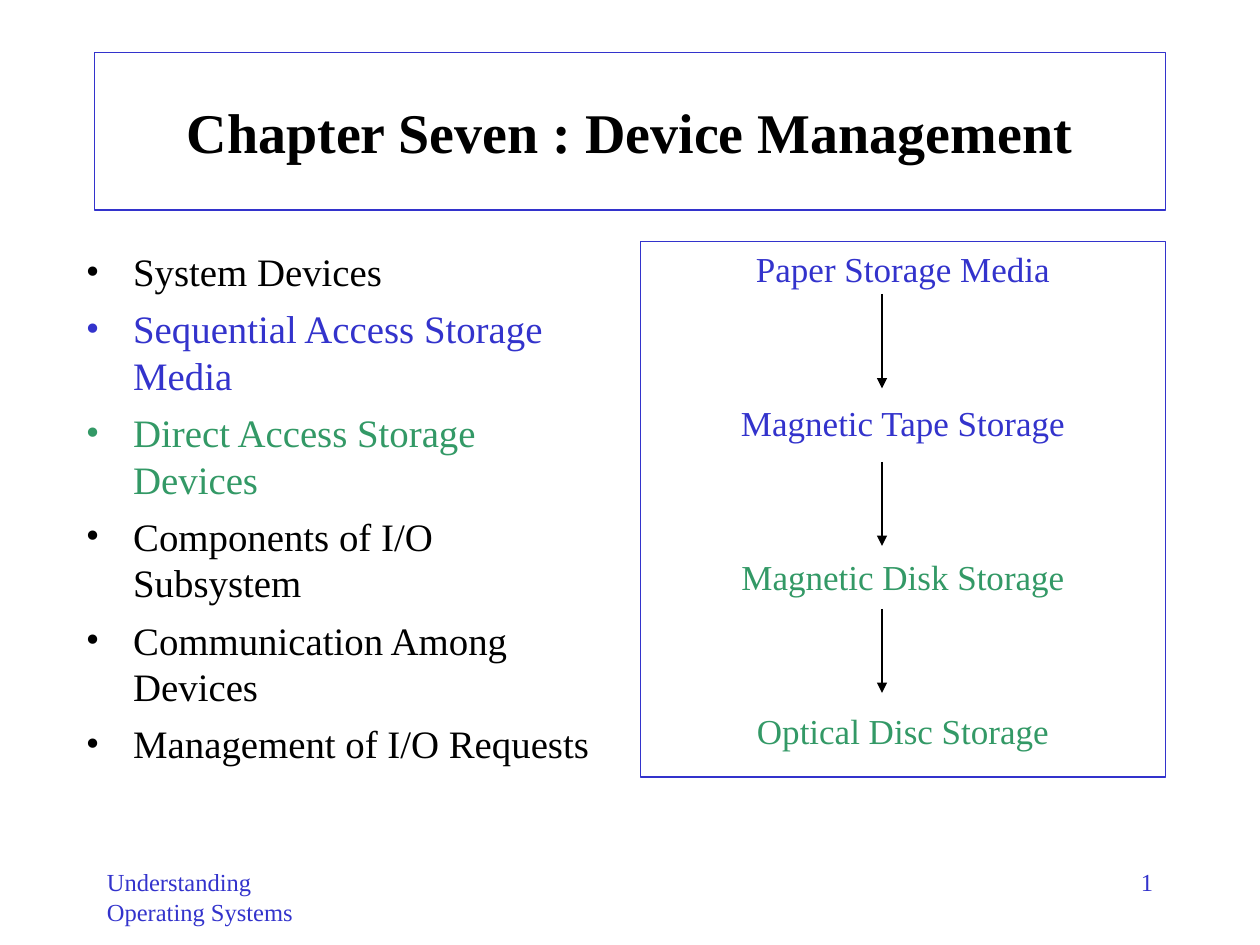
from lxml.etree import SubElement
from pptx import Presentation
from pptx.dml.color import RGBColor
from pptx.enum.shapes import MSO_CONNECTOR as Connector, MSO_SHAPE as Shape
from pptx.enum.text import MSO_ANCHOR as Anchor, PP_ALIGN as Align
from pptx.oxml.ns import qn
from pptx.util import Pt

BLACK, BLUE, GREEN = "000000", "3333CC", "339966"


def color(value):
    return RGBColor.from_string(value)


def add_bullet(paragraph, tint, indent):
    props = paragraph._p.get_or_add_pPr()
    props.set("marL", str(Pt(indent)))
    props.set("indent", str(-Pt(indent)))
    SubElement(SubElement(props, qn("a:buClr")), qn("a:srgbClr"), val=tint)
    SubElement(props, qn("a:buFont"), typeface="Times New Roman")
    SubElement(props, qn("a:buChar"), char="•")


def write(frame, entries, size, bold=False, align=Align.LEFT,
          anchor=Anchor.TOP, gap=0, bullet_indent=0):
    frame.word_wrap = True
    frame.vertical_anchor = anchor
    for number, (text, tint) in enumerate(entries):
        paragraph = frame.add_paragraph() if number else frame.paragraphs[0]
        paragraph.alignment = align
        paragraph.space_before = Pt(gap if number else 0)
        if bullet_indent:
            add_bullet(paragraph, tint, bullet_indent)
        run = paragraph.add_run()
        run.text = text
        run.font.name = "Times New Roman"
        run.font.size = Pt(size)
        run.font.bold = bold
        run.font.color.rgb = color(tint)


class SlideBuilder:
    line_width = 0.75

    def __init__(self, slide):
        self.shapes = slide.shapes

    def text(self, left, top, width, height, entries, **style):
        box = self.shapes.add_textbox(Pt(left), Pt(top), Pt(width), Pt(height))
        write(box.text_frame, entries, **style)

    def panel(self, left, top, width, height, entries, **style):
        box = self.shapes.add_shape(
            Shape.RECTANGLE, Pt(left), Pt(top), Pt(width), Pt(height))
        box.shadow.inherit = False
        box.fill.background()
        box.line.color.rgb = color(BLUE)
        box.line.width = Pt(self.line_width)
        write(box.text_frame, entries, align=Align.CENTER, **style)

    def down_arrow(self, x, top, bottom):
        arrow = self.shapes.add_connector(
            Connector.STRAIGHT, Pt(x), Pt(top), Pt(x), Pt(bottom))
        arrow.line.color.rgb = color(BLACK)
        arrow.line.width = Pt(self.line_width)
        SubElement(arrow.line._get_or_add_ln(), qn("a:tailEnd"), type="triangle")
        SubElement(arrow._element.spPr, qn("a:effectLst"))


def main():
    deck = Presentation()
    deck.slide_width, deck.slide_height = Pt(720), Pt(540)
    builder = SlideBuilder(deck.slides.add_slide(deck.slide_layouts[6]))

    builder.text(54, 492, 150, 36,
                 [("Understanding Operating Systems", BLUE)], size=14)
    builder.text(516, 492, 150, 36, [("1", BLUE)], size=14, align=Align.RIGHT)
    builder.panel(54, 30, 612, 90, [("Chapter Seven : Device Management", BLACK)],
                  size=32, bold=True, anchor=Anchor.MIDDLE)

    topics = [
        ("System Devices", BLACK),
        ("Sequential Access Storage Media", BLUE),
        ("Direct Access Storage Devices", GREEN),
        ("Components of I/O Subsystem", BLACK),
        ("Communication Among Devices", BLACK),
        ("Management of I/O Requests", BLACK),
    ]
    builder.text(42, 138, 312, 342, topics, size=22.2, gap=6, bullet_indent=27)

    storage_media = [
        ("Paper Storage Media", BLUE),
        ("Magnetic Tape Storage", BLUE),
        ("Magnetic Disk Storage", GREEN),
        ("Optical Disc Storage", GREEN),
    ]
    builder.panel(366, 138, 300, 306, storage_media, size=20, gap=64)
    for top, bottom in ((168, 222), (264, 312), (348, 396)):
        builder.down_arrow(504, top, bottom)

    deck.save("out.pptx")


if __name__ == "__main__":
    main()
